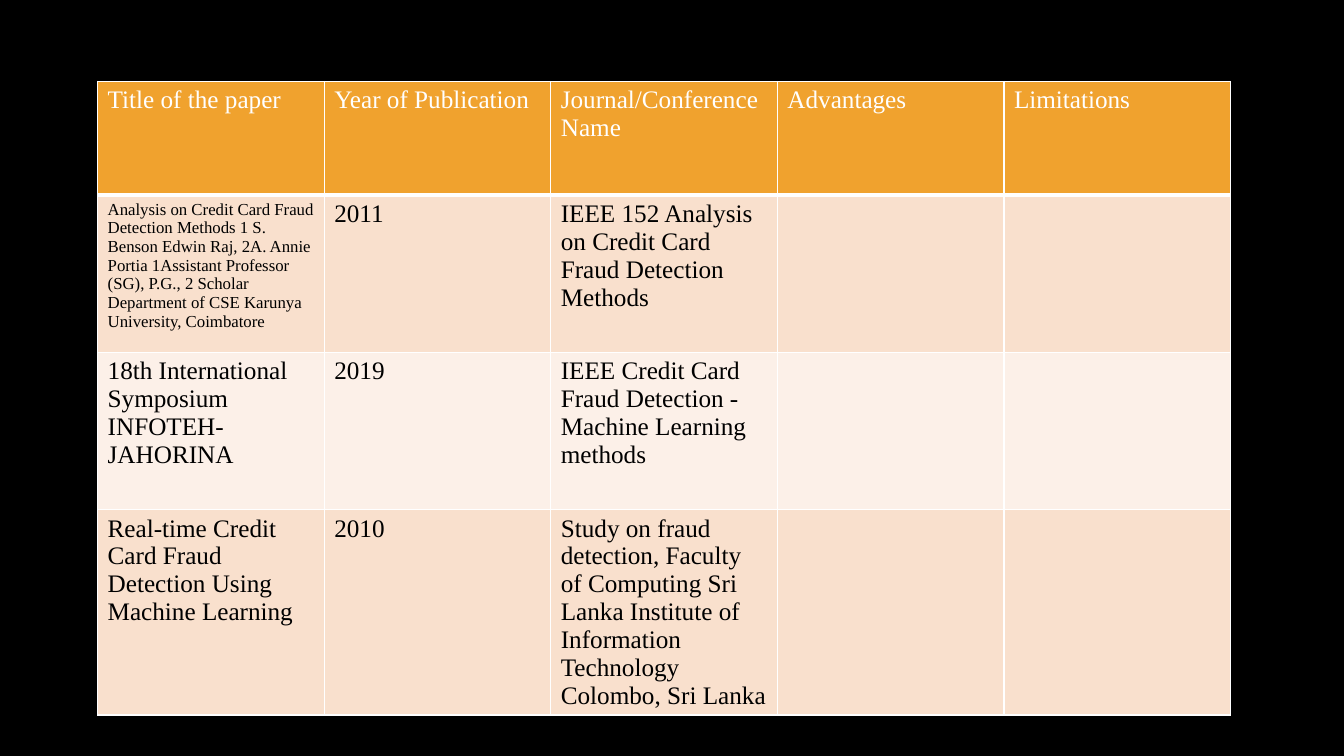
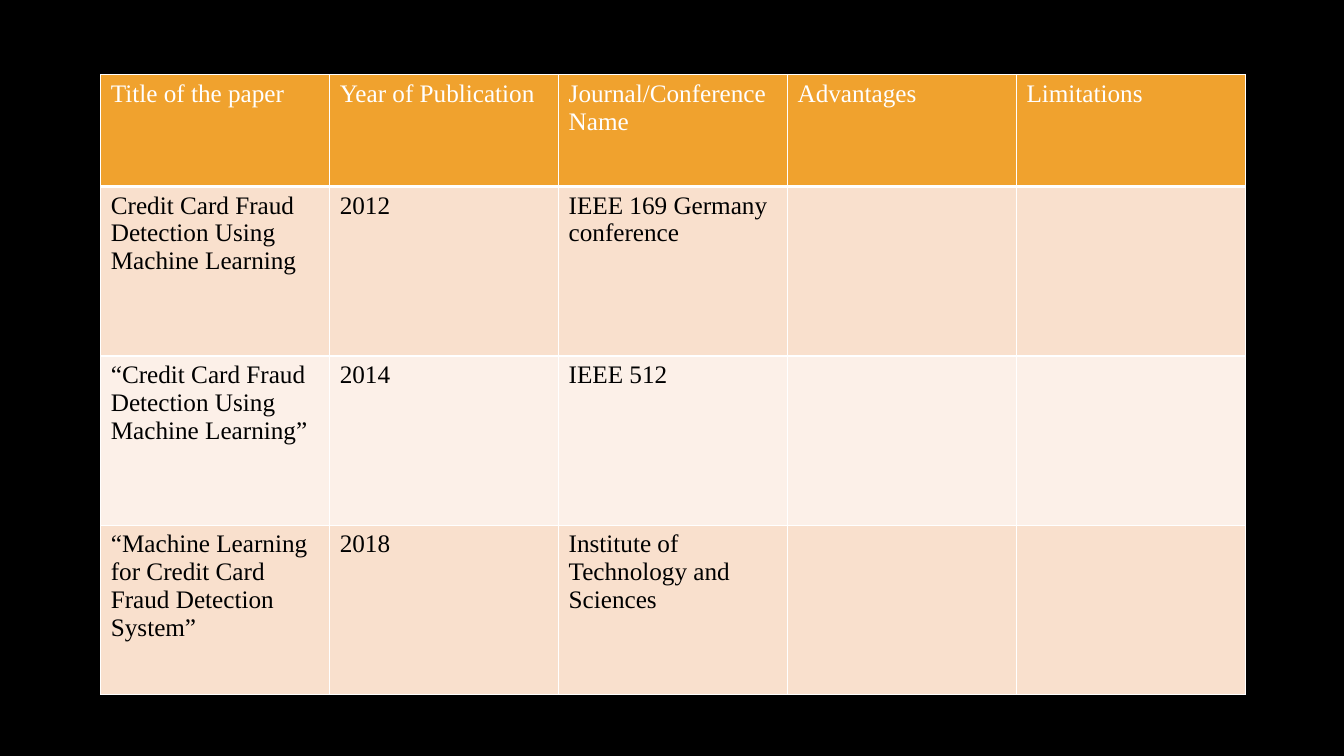
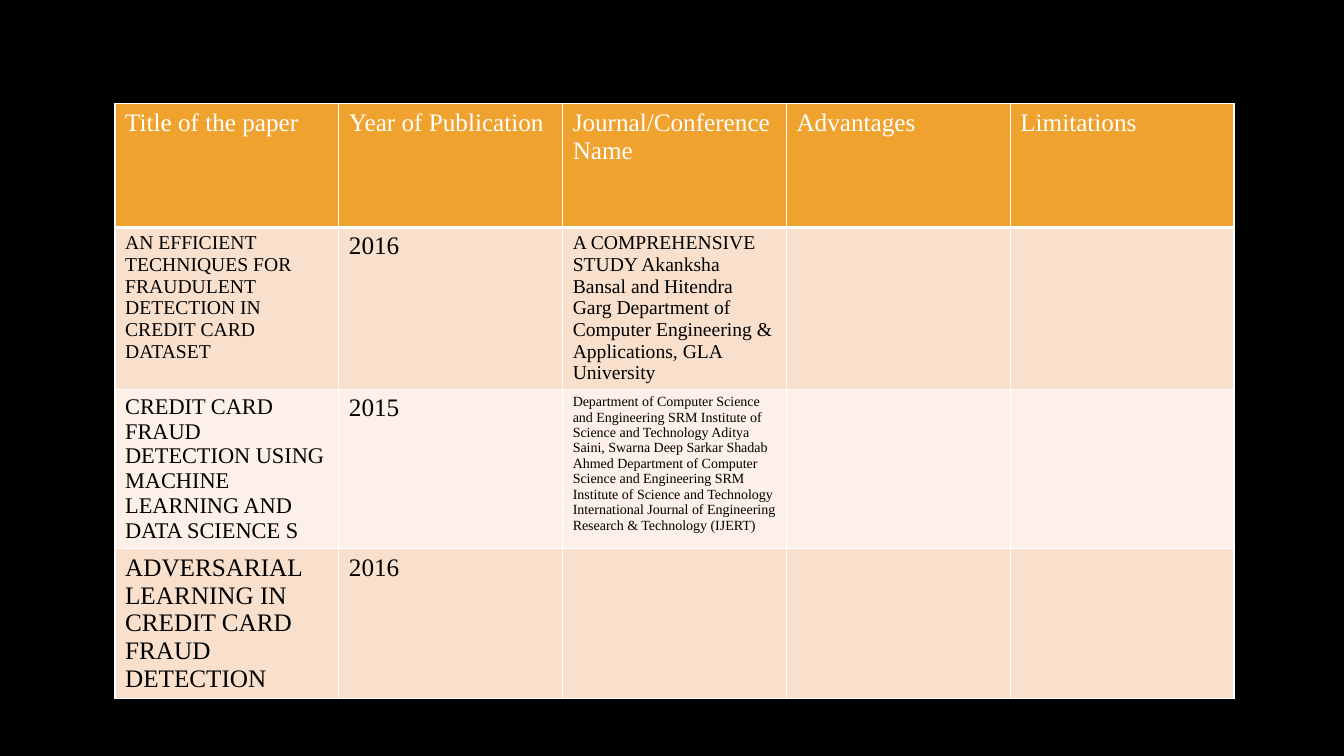
from dataclasses import dataclass

from lxml.etree import SubElement
from pptx import Presentation
from pptx.dml.color import RGBColor
from pptx.oxml.ns import qn
from pptx.util import Cm, Pt


@dataclass(frozen=True)
class Theme:
    background: str = "000000"
    header_fill: str = "F0A22E"
    header_text: str = "FFFFFF"
    body_text: str = "000000"
    band_fills: tuple = ("F9E0CD", "FCF0E8")
    border: str = "FFFFFF"
    border_width: int = 1
    header_rule_width: int = 3
    font: str = "Times New Roman"
    text: int = 18
    medium: int = 16
    small: int = 14
    fine: int = 12
    tiny: int = 10


THEME = Theme()
HEADINGS = ("Title of the paper", "Year of Publication",
            "Journal/Conference Name", "Advantages", "Limitations")


class Deck:
    def __init__(self, theme):
        self.theme = theme
        self.presentation = Presentation()
        self.presentation.slide_width = Cm(33.87)
        self.presentation.slide_height = Cm(19.05)
        self.slide = None

    def add_slide(self):
        self.slide = self.presentation.slides.add_slide(
            self.presentation.slide_layouts[6])
        fill = self.slide.background.fill
        fill.solid()
        fill.fore_color.rgb = RGBColor.from_string(self.theme.background)

    def add_borders(self, cell, bottom_width):
        """Draw the four cell borders; they must precede the cell fill."""
        properties = cell._tc.get_or_add_tcPr()
        width = self.theme.border_width
        sides = {"L": width, "R": width, "T": width, "B": bottom_width}
        for side, points in sides.items():
            line = SubElement(properties, qn(f"a:ln{side}"), w=str(Pt(points)))
            solid = SubElement(line, qn("a:solidFill"))
            SubElement(solid, qn("a:srgbClr"), val=self.theme.border)

    def fill_cell(self, cell, text, size, fill, color, bottom_width):
        self.add_borders(cell, bottom_width)
        cell.fill.solid()
        cell.fill.fore_color.rgb = RGBColor.from_string(fill)
        paragraph = cell.text_frame.paragraphs[0]
        paragraph.text = text
        font = paragraph.font
        font.name = self.theme.font
        font.size = Pt(size)
        font.bold = False
        font.color.rgb = RGBColor.from_string(color)

    def add_paper_table(self, left, top, column_width, header_height,
                        row_height, papers):
        """Each paper lists its leading cells: text, or (text, size)."""
        theme = self.theme
        columns = len(HEADINGS)
        heights = [header_height] + [row_height] * len(papers)
        table = self.slide.shapes.add_table(
            len(heights), columns, Cm(left), Cm(top),
            Cm(column_width * columns), Cm(sum(heights))).table
        table.horz_banding = False
        for column in table.columns:
            column.width = Cm(column_width)
        for row, height in zip(table.rows, heights):
            row.height = Cm(height)

        # Header row
        for cell, heading in zip(table.rows[0].cells, HEADINGS):
            self.fill_cell(cell, heading, theme.text, theme.header_fill,
                           theme.header_text, theme.header_rule_width)

        # Banded paper rows, blank where nothing is listed
        for index, paper in enumerate(papers):
            fill = theme.band_fills[index % len(theme.band_fills)]
            entries = list(paper) + [""] * (columns - len(paper))
            for cell, entry in zip(table.rows[index + 1].cells, entries):
                text, size = (entry if isinstance(entry, tuple)
                              else (entry, theme.text))
                self.fill_cell(cell, text, size, fill, theme.body_text,
                               theme.border_width)


# Table geometry in cm, then the papers
SURVEY_SLIDES = [
    (dict(left=2.46, top=2.05, column_width=5.71,
          header_height=2.87, row_height=3.96),
     [(("Analysis on Credit Card Fraud Detection Methods 1 S. Benson Edwin "
        "Raj, 2A. Annie Portia 1Assistant Professor (SG), P.G., 2 Scholar "
        "Department of CSE Karunya University, Coimbatore", THEME.fine),
       "2011",
       "IEEE 152 Analysis on Credit Card Fraud Detection Methods"),
      ("18th International Symposium INFOTEH-JAHORINA", "2019",
       "IEEE Credit Card Fraud Detection - Machine Learning methods"),
      ("Real-time Credit Card Fraud Detection Using Machine Learning", "2010",
       "Study on fraud detection, Faculty of Computing Sri Lanka Institute "
       "of Information Technology Colombo, Sri Lanka")]),
    (dict(left=2.54, top=1.88, column_width=5.77,
          header_height=2.82, row_height=4.27),
     [("Credit Card Fraud Detection Using Machine Learning", "2012",
       "IEEE 169 Germany conference"),
      ("“Credit Card Fraud Detection Using Machine Learning”", "2014",
       "IEEE 512"),
      ("“Machine Learning for Credit Card Fraud Detection System”", "2018",
       "Institute of Technology and Sciences")]),
    (dict(left=2.9, top=2.61, column_width=5.64,
          header_height=3.12, row_height=3.76),
     [(("AN EFFICIENT TECHNIQUES FOR FRAUDULENT DETECTION IN CREDIT CARD "
        "DATASET", THEME.small),
       "2016",
       ("A COMPREHENSIVE STUDY Akanksha Bansal and Hitendra Garg Department "
        "of Computer Engineering & Applications, GLA University",
        THEME.small)),
      (("CREDIT CARD FRAUD DETECTION USING MACHINE LEARNING AND DATA "
        "SCIENCE S", THEME.medium),
       "2015",
       ("Department of Computer Science and Engineering SRM Institute of "
        "Science and Technology Aditya Saini, Swarna Deep Sarkar Shadab "
        "Ahmed Department of Computer Science and Engineering SRM Institute "
        "of Science and Technology International Journal of Engineering "
        "Research & Technology (IJERT)", THEME.tiny)),
      ("ADVERSARIAL LEARNING IN CREDIT CARD FRAUD DETECTION", "2016")]),
]


def main():
    deck = Deck(THEME)
    for geometry, papers in SURVEY_SLIDES:
        deck.add_slide()
        deck.add_paper_table(papers=papers, **geometry)
    deck.presentation.save("out.pptx")


if __name__ == "__main__":
    main()
